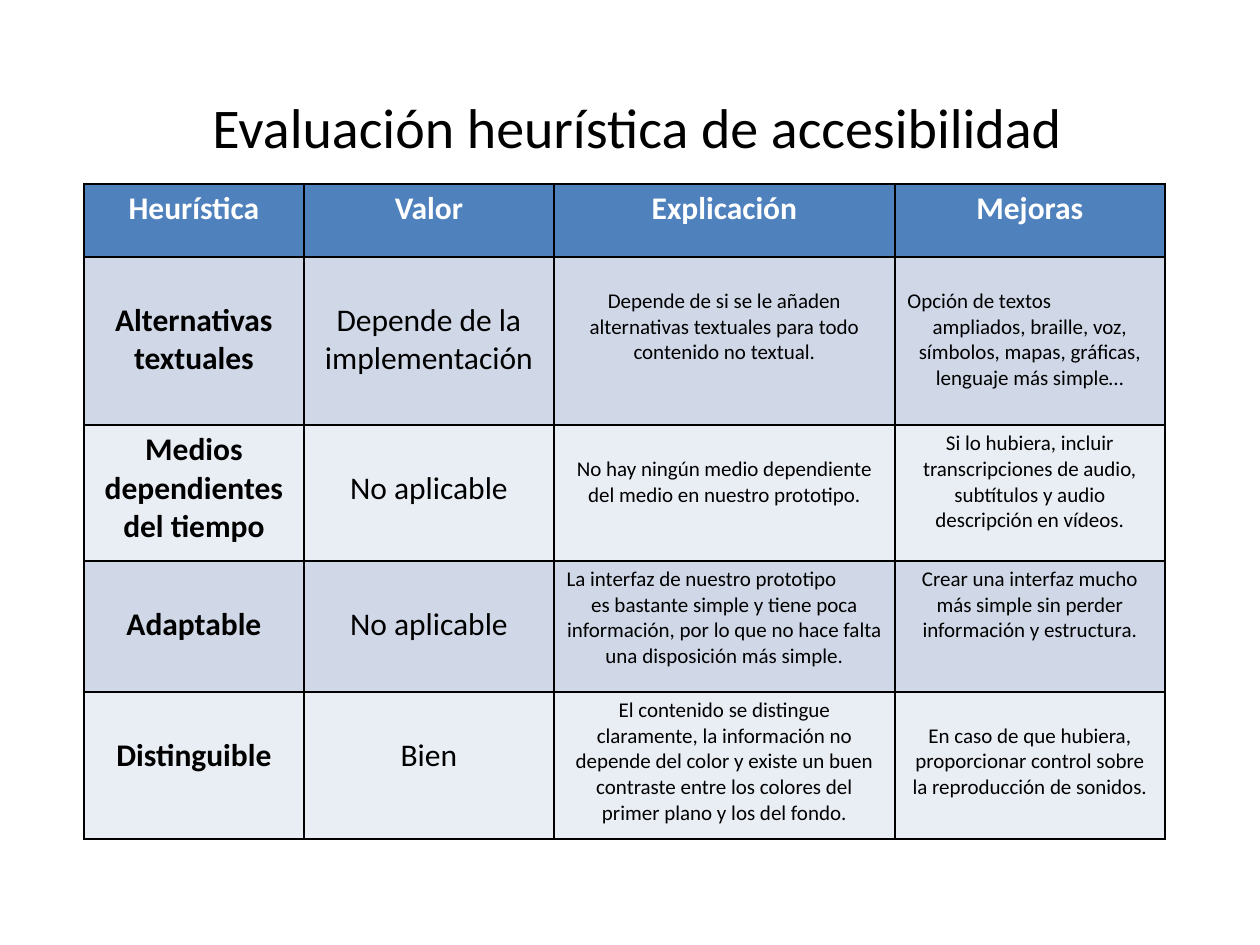
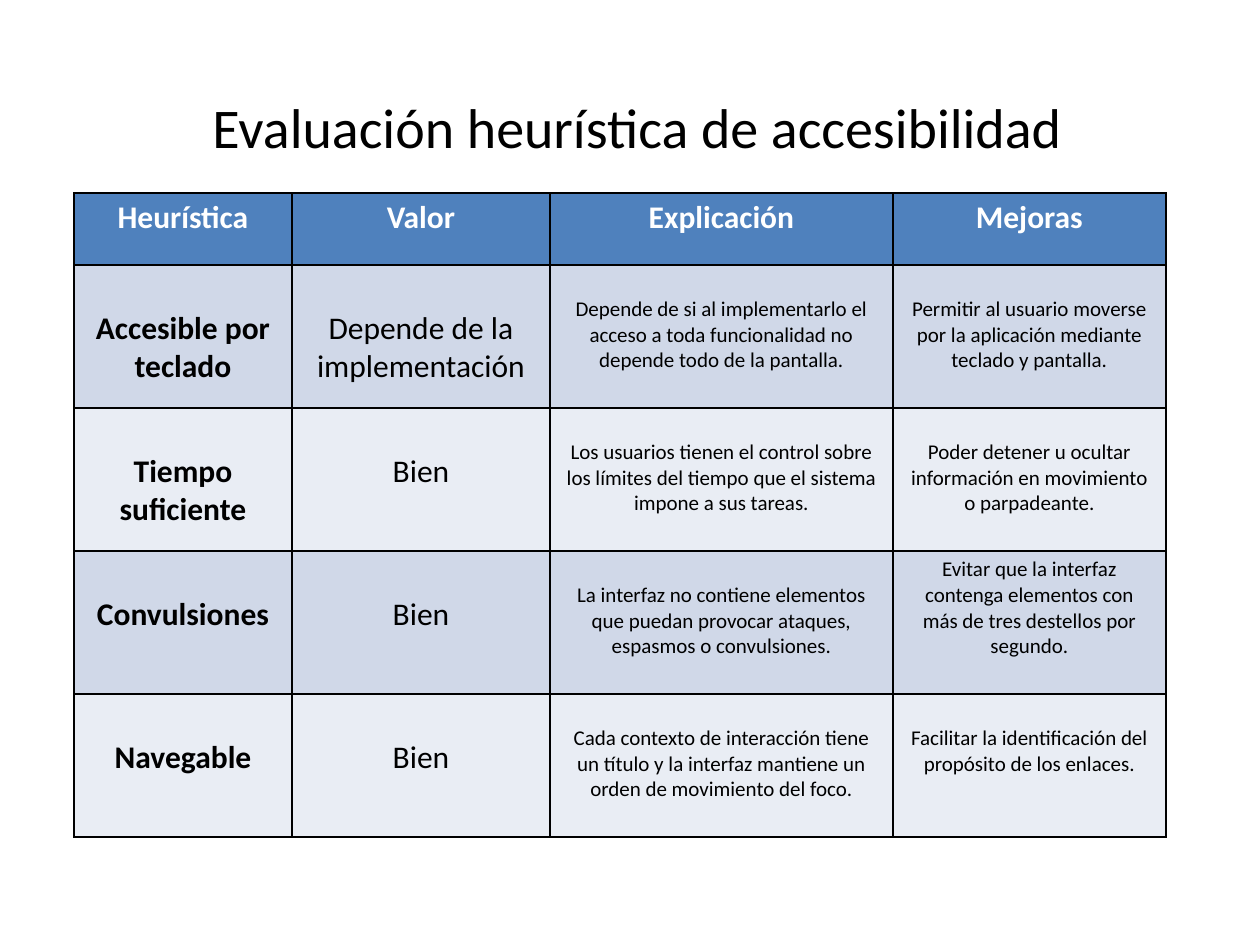
from pptx import Presentation, util as u
from pptx.dml.color import RGBColor
from pptx.enum import text
from pptx.oxml import parse_xml
from pptx.oxml.ns import nsdecls

PX_PER_INCH = 126
FONT = "Calibri"
BLACK = RGBColor(0x00, 0x00, 0x00)
WHITE = RGBColor(0xFF, 0xFF, 0xFF)
HEADER_BLUE = RGBColor(0x4F, 0x81, 0xBD)
BANDS = (RGBColor(0xD0, 0xD8, 0xE8), RGBColor(0xE9, 0xED, 0xF4))

TITLE = "Evaluación heurística de accesibilidad"
TITLE_BOX = (15, 86, 1245, 149)
HEADERS = ("Heurística", "Valor", "Explicación", "Mejoras")

# Text format of the title, the header row and each body column
TITLE_FORMAT = dict(size=u.Pt(32), bold=False, color=BLACK)
HEADER_FORMAT = dict(size=u.Pt(18), bold=True, color=WHITE)
NAME_FORMAT = dict(size=u.Pt(18), bold=True, color=BLACK)
VALUE_FORMAT = dict(size=u.Pt(18), bold=False, color=BLACK)
DETAIL_FORMAT = dict(size=u.Pt(12), bold=False, color=BLACK)
COLUMN_FORMATS = (NAME_FORMAT, VALUE_FORMAT, DETAIL_FORMAT, DETAIL_FORMAT)

CELL_TOP = 6          # usual top margin of a cell
LINE_HEIGHT = 1.22    # line height of the font, in ems

# "high" lists the (row, column) of cells that start at the top of their row;
# the other body cells start one line lower. "left" lists cells whose first
# paragraph is aligned left.
SLIDES = (
    dict(
        left_top=(84, 184),
        widths=(220, 250, 341, 270),
        heights=(73, 168, 136, 131, 147),
        high={(2, 0), (2, 3), (3, 2), (3, 3), (4, 2)},
        left={(1, 3), (3, 2)},
        rows=(
            ("Alternativas\ntextuales",
             "Depende de la\nimplementación",
             "Depende de si se le añaden alternativas textuales para todo "
             "contenido no textual.",
             "Opción de textos\nampliados, braille, voz, símbolos, mapas, "
             "gráficas, lenguaje más simple…"),
            ("Medios dependientes del tiempo",
             "No aplicable",
             "No hay ningún medio dependiente del medio en nuestro prototipo.",
             "Si lo hubiera, incluir transcripciones de audio, subtítulos y "
             "audio descripción en vídeos."),
            ("Adaptable",
             "No aplicable",
             "La interfaz de nuestro prototipo\nes bastante simple y tiene "
             "poca información, por lo que no hace falta una disposición más "
             "simple.",
             "Crear una interfaz mucho más simple sin perder información y "
             "estructura."),
            ("Distinguible",
             "Bien",
             "El contenido se distingue claramente, la información no depende "
             "del color y existe un buen contraste entre los colores del "
             "primer plano y los del fondo.",
             "En caso de que hubiera, proporcionar control sobre la "
             "reproducción de sonidos."),
        ),
    ),
    dict(
        left_top=(74, 193),
        widths=(218, 258, 343, 273),
        heights=(72,) + (143,) * 4,
        high={(3, 3)},
        left=set(),
        rows=(
            ("Accesible por teclado",
             "Depende de la\nimplementación",
             "Depende de si al implementarlo el acceso a toda funcionalidad "
             "no depende todo de la pantalla.",
             "Permitir al usuario moverse por la aplicación mediante teclado "
             "y pantalla."),
            ("Tiempo suficiente",
             "Bien",
             "Los usuarios tienen el control sobre los límites del tiempo que "
             "el sistema impone a sus tareas.",
             "Poder detener u ocultar información en movimiento o "
             "parpadeante."),
            ("Convulsiones",
             "Bien",
             "La interfaz no contiene elementos que puedan provocar ataques, "
             "espasmos o convulsiones.",
             "Evitar que la interfaz contenga elementos con más de tres "
             "destellos por segundo."),
            ("Navegable",
             "Bien",
             "Cada contexto de interacción tiene un título y la interfaz "
             "mantiene un orden de movimiento del foco.",
             "Facilitar la identificación del propósito de los enlaces."),
        ),
    ),
)


def px(length):
    return u.Emu(round(length * 914400 / PX_PER_INCH))


def write(tf, words, fmt):
    """Fill a text frame with centred paragraphs, one for each line."""
    tf.text = words
    for p in tf.paragraphs:
        p.alignment = text.PP_ALIGN.CENTER
        for r in p.runs:
            r.font.name = FONT
            for key, value in fmt.items():
                if key == "color":
                    r.font.color.rgb = value
                else:
                    setattr(r.font, key, value)


def add_borders(cell):
    tc_pr = cell._tc.get_or_add_tcPr()
    for side in "LRTB":
        tc_pr.append(parse_xml(
            f'<a:ln{side} {nsdecls("a")} w="12700"><a:solidFill>'
            f'<a:srgbClr val="{BLACK}"/></a:solidFill></a:ln{side}>'))


def format_cell(cell, words, fmt, fill, drop):
    write(cell.text_frame, words, fmt)
    add_borders(cell)
    cell.fill.solid()
    cell.fill.fore_color.rgb = fill
    cell.margin_top = px(CELL_TOP)
    if drop:
        cell.margin_top += round(fmt["size"] * LINE_HEIGHT)


def place_title(slide, box):
    sp = slide.shapes.title
    sp.left, sp.top, sp.width, sp.height = map(px, box)
    tf = sp.text_frame
    frame = dict(word_wrap=True, auto_size=text.MSO_AUTO_SIZE.NONE,
                 vertical_anchor=text.MSO_ANCHOR.TOP)
    for key, value in frame.items():
        setattr(tf, key, value)
    write(tf, TITLE, TITLE_FORMAT)


def place_table(slide, left_top, widths, heights, high, left, rows):
    box = (*left_top, sum(widths), sum(heights))
    table = slide.shapes.add_table(
        len(heights), len(widths), *map(px, box)).table
    table.horz_banding = False
    for column, width in zip(table.columns, widths):
        column.width = px(width)
    for row, height in zip(table.rows, heights):
        row.height = px(height)

    # Header row
    for j, words in enumerate(HEADERS):
        format_cell(table.cell(0, j), words, HEADER_FORMAT, HEADER_BLUE, False)

    # Body rows in alternating bands
    for i, row in enumerate(rows, start=1):
        for j, (words, fmt) in enumerate(zip(row, COLUMN_FORMATS)):
            cell = table.cell(i, j)
            format_cell(cell, words, fmt, BANDS[(i - 1) % 2],
                        (i, j) not in high)
            if (i, j) in left:
                cell.text_frame.paragraphs[0].alignment = text.PP_ALIGN.LEFT


def main():
    prs = Presentation()
    prs.slide_width, prs.slide_height = u.Inches(10), u.Inches(7.5)
    title_only = prs.slide_layouts.get_by_name("Title Only")
    for evaluation in SLIDES:
        slide = prs.slides.add_slide(title_only)
        place_title(slide, TITLE_BOX)
        place_table(slide, **evaluation)
    prs.save("out.pptx")


if __name__ == "__main__":
    main()
